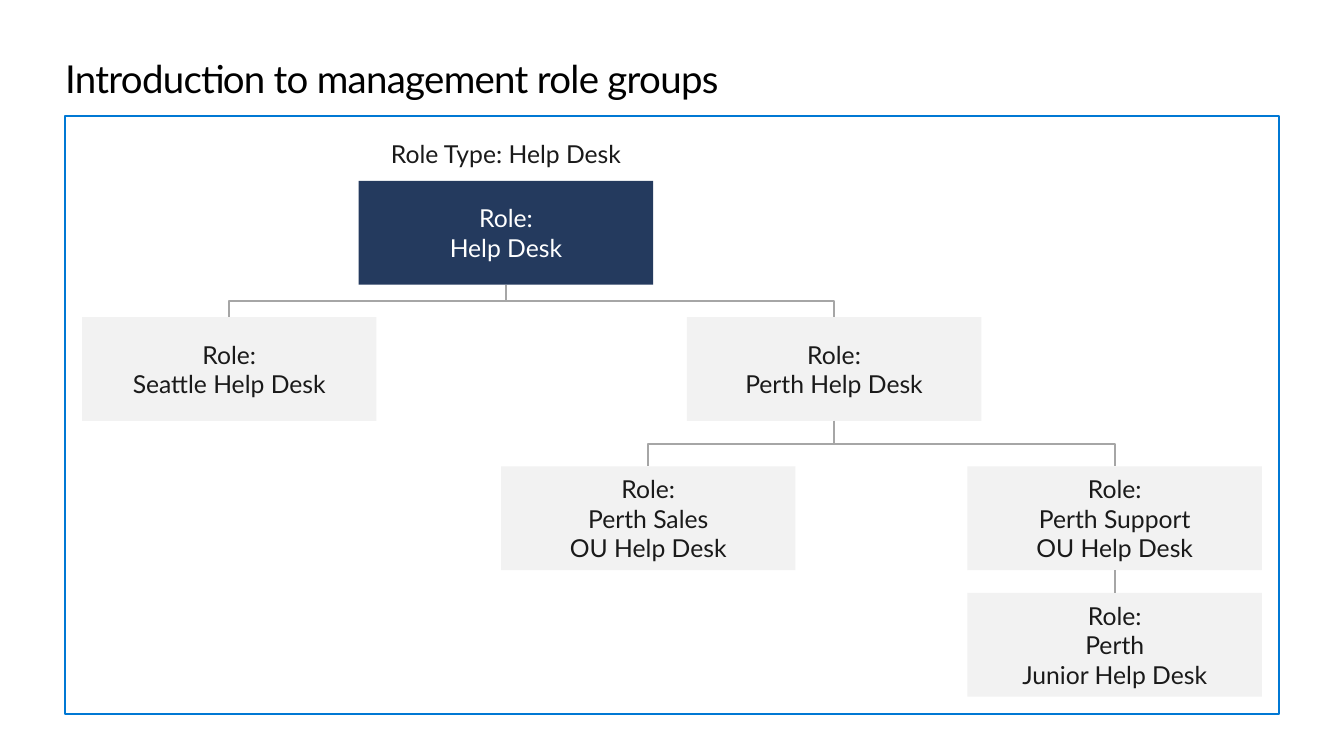
from dataclasses import dataclass

from lxml import etree
from pptx import Presentation
from pptx.dml.color import RGBColor
from pptx.enum.shapes import MSO_CONNECTOR, MSO_SHAPE
from pptx.enum.text import MSO_ANCHOR, PP_ALIGN
from pptx.oxml.ns import qn
from pptx.util import Inches, Pt

RECTANGLE = MSO_SHAPE.RECTANGLE
ELBOW, STRAIGHT = MSO_CONNECTOR.ELBOW, MSO_CONNECTOR.STRAIGHT
MIDDLE, CENTER, LEFT = MSO_ANCHOR.MIDDLE, PP_ALIGN.CENTER, PP_ALIGN.LEFT

TITLE = "Introduction to management role groups"
ROLE_TYPE = "Role Type: Help Desk"
ROLES = {
    "help": (1, 0, None, ["Role:", "Help Desk"]),
    "seattle": (0, 1, "help", ["Role:", "Seattle Help Desk"]),
    "perth": (3, 1, "help", ["Role:", "Perth Help Desk"]),
    "sales": (2, 2, "perth", ["Role:", "Perth Sales", "OU Help Desk"]),
    "support": (4, 2, "perth", ["Role:", "Perth Support", "OU Help Desk"]),
    "junior": (4, 3, "support", ["Role:", "Perth", "Junior Help Desk"]),
}

SLIDE_SIZE = (13.6, 7.65)
MARGIN = 0.66
CONTENT_WIDTH = SLIDE_SIZE[0] - 2 * MARGIN
TITLE_AREA = (MARGIN, 0.55, CONTENT_WIDTH, 0.48)
FRAME_AREA = (MARGIN, 1.17, CONTENT_WIDTH, 6.06)
COLUMN_CENTERS = [2.32, 5.12, 6.56, 8.44, 11.28]
ROW_TOPS = [1.83, 3.21, 4.72, 6.0]
ROLE_SIZE = (2.98, 1.05)
ROLE_TYPE_SIZE = (2.67, 0.4)
ROLE_TYPE_RISE = 0.47
BOTTOM_SITE, TOP_SITE = 2, 0


@dataclass(frozen=True)
class Theme:
    font: str = "Lato"
    title_size: float = 28
    text_size: float = 18
    line_width: float = 1.5
    title: str = "000000"
    text: str = "1A1A1A"
    frame: str = "0078D4"
    root_fill: str = "243A5E"
    root_text: str = "FFFFFF"
    role_fill: str = "F2F2F2"
    link: str = "A6A6A6"


THEME = Theme()


def color(value):
    return RGBColor.from_string(value)


def inches(*lengths):
    return [Inches(length) for length in lengths]


def style_font(font, size, hue):
    font.name, font.size = THEME.font, Pt(size)
    font.color.rgb = color(hue)


def style_line(line, hue):
    line.color.rgb = color(hue)
    line.width = Pt(THEME.line_width)


def write_lines(text_frame, lines, hue):
    paragraph = text_frame.paragraphs[0]
    paragraph.alignment = CENTER
    style_font(paragraph.font, THEME.text_size, hue)
    for number, line in enumerate(lines):
        if number:
            paragraph.add_line_break()
        paragraph.add_run().text = line


def add_title(slide):
    title = slide.shapes.title
    title.left, title.top, title.width, title.height = inches(*TITLE_AREA)
    text_frame = title.text_frame
    text_frame.margin_left = text_frame.margin_right = 0
    text_frame.margin_top = text_frame.margin_bottom = 0
    text_frame.vertical_anchor = MIDDLE
    text_frame.text = TITLE
    paragraph = text_frame.paragraphs[0]
    paragraph.alignment = LEFT
    run = paragraph.runs[0]
    style_font(run.font, THEME.title_size, THEME.title)
    run.font._element.set("spc", "-50")


def add_frame(slide):
    frame = slide.shapes.add_shape(RECTANGLE, *inches(*FRAME_AREA))
    frame.shadow.inherit = False
    frame.fill.background()
    style_line(frame.line, THEME.frame)


def add_role_type(slide):
    width, height = ROLE_TYPE_SIZE
    left = COLUMN_CENTERS[1] - width / 2
    label = slide.shapes.add_textbox(*inches(left, ROW_TOPS[0] - ROLE_TYPE_RISE, width, height))
    label.text_frame.word_wrap = False
    write_lines(label.text_frame, [ROLE_TYPE], THEME.text)


def add_role(slide, column, row, is_root, lines):
    width, height = ROLE_SIZE
    left = COLUMN_CENTERS[column] - width / 2
    role = slide.shapes.add_shape(RECTANGLE, *inches(left, ROW_TOPS[row], width, height))
    role.shadow.inherit = False
    role.fill.solid()
    role.fill.fore_color.rgb = color(THEME.root_fill if is_root else THEME.role_fill)
    role.line.fill.background()
    role.text_frame.word_wrap = True
    role.text_frame.vertical_anchor = MIDDLE
    write_lines(role.text_frame, lines, THEME.root_text if is_root else THEME.text)
    return role


def turn_downward(link, start_x, start_y, end_x, end_y):
    span, drop = abs(end_x - start_x), end_y - start_y
    link.left = (start_x + end_x - drop) // 2
    link.top = (start_y + end_y - span) // 2
    link.width, link.height = drop, span
    transform = link._element.spPr.find(qn("a:xfrm"))
    goes_right = end_x > start_x
    transform.set("rot", "16200000" if goes_right else "5400000")
    transform.set("flipH", "1" if goes_right else "0")
    transform.set("flipV", "0")


def add_link(slide, parent, child):
    start_x, start_y = parent.left + parent.width // 2, parent.top + parent.height
    end_x, end_y = child.left + child.width // 2, child.top
    ends = (start_x, start_y, end_x, end_y)
    is_straight = start_x == end_x
    link = slide.shapes.add_connector(STRAIGHT if is_straight else ELBOW, *ends)
    link.begin_connect(parent, BOTTOM_SITE)
    link.end_connect(child, TOP_SITE)
    if not is_straight:
        turn_downward(link, *ends)
    style_line(link.line, THEME.link)
    etree.SubElement(link._element.spPr, qn("a:effectLst"))


def main():
    presentation = Presentation()
    presentation.slide_width, presentation.slide_height = inches(*SLIDE_SIZE)
    slide = presentation.slides.add_slide(presentation.slide_layouts[5])
    add_title(slide)
    add_frame(slide)
    add_role_type(slide)
    placed = {}
    for key, (column, row, parent, lines) in ROLES.items():
        placed[key] = add_role(slide, column, row, parent is None, lines)
        if parent:
            add_link(slide, placed[parent], placed[key])
    presentation.save("out.pptx")


if __name__ == "__main__":
    main()
